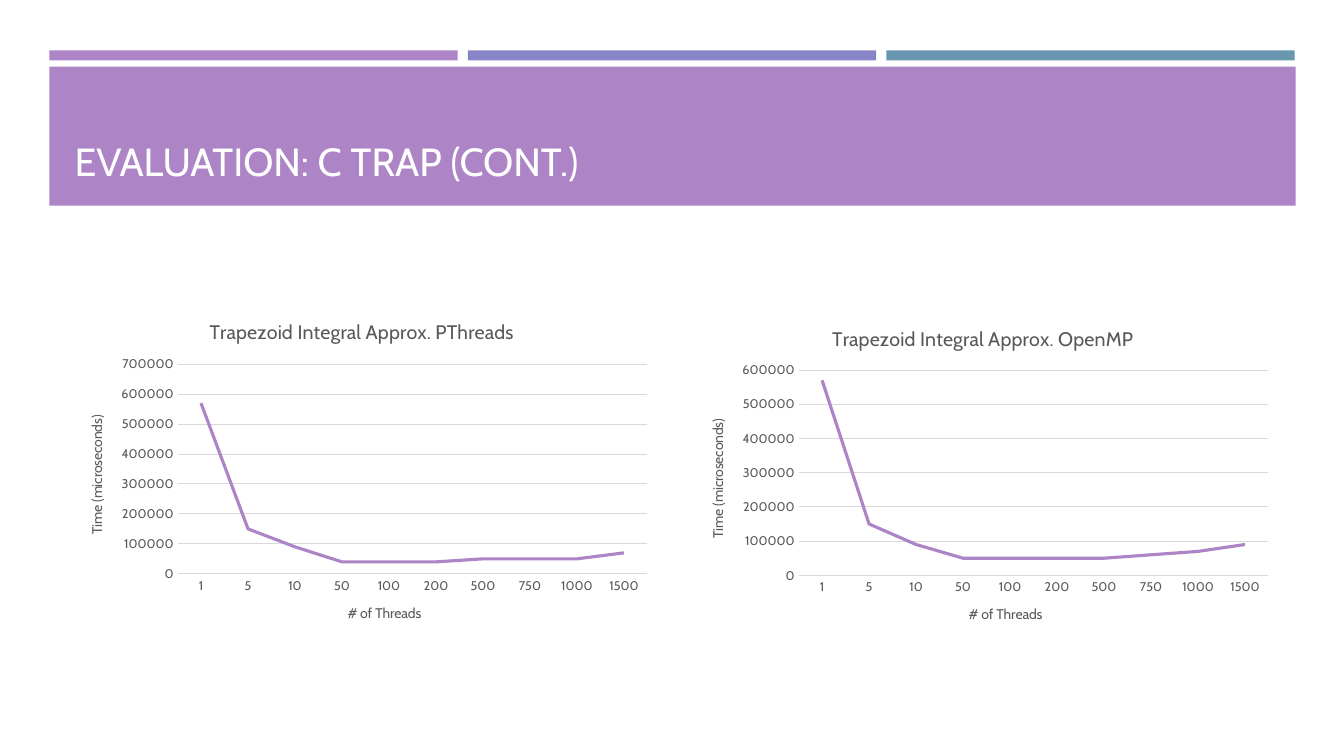
"""Build the trapezoid evaluation slide with its two thread timing charts."""
from lxml.etree import SubElement
from pptx import Presentation
from pptx.chart.data import CategoryChartData as ChartData
from pptx.dml.color import RGBColor
from pptx.enum.chart import XL_CHART_TYPE as ChartType, XL_TICK_MARK as Tick
from pptx.enum.shapes import MSO_SHAPE as Shape
from pptx.enum.text import MSO_ANCHOR as Anchor, PP_ALIGN as Align
from pptx.oxml import parse_xml
from pptx.oxml.ns import nsdecls, qn
from pptx.util import Inches, Pt

FONT = "Cabin"
PURPLE, BLUE, TEAL = "AD84C6", "8784C7", "6997AF"
GREY, RULE, WHITE = "595959", "D9D9D9", "FFFFFF"
THREADS = ["1", "5", "10", "50", "100", "200", "500", "750", "1000", "1500"]
PLOT = {"x": 0.19, "y": 0.18, "w": 0.79, "h": 0.61}


def color(hex_text):
    return RGBColor.from_string(hex_text)


def add_text(frame, text, size, hex_text):
    para = frame.paragraphs[0]
    span = para.add_run()
    span.text = text
    span.font.name = FONT
    span.font.size = Pt(size)
    span.font.bold = False
    span.font.color.rgb = color(hex_text)
    return para


deck = Presentation()
deck.slide_width, deck.slide_height = Inches(13.33), Inches(7.5)
page = deck.slides.add_slide(deck.slide_layouts[5])

bands = [(0.49 + 4.15 * i, 0.5, 4.05, 0.1, fill) for i, fill in enumerate((PURPLE, BLUE, TEAL))]
bands.append((0.49, 0.66, 12.36, 1.38, PURPLE))
for left, top, width, height, fill in bands:
    band = page.shapes.add_shape(
        Shape.RECTANGLE, Inches(left), Inches(top), Inches(width), Inches(height))
    band.shadow.inherit = False
    band.fill.solid()
    band.fill.fore_color.rgb = color(fill)
    band.line.fill.background()

title = page.shapes.title
title.left, title.top = Inches(0.64), Inches(0.8)
title.width, title.height = Inches(12.06), Inches(1.08)
title.text_frame.vertical_anchor = Anchor.BOTTOM
add_text(title.text_frame, "EVALUATION: C TRAP (CONT.)", 28, WHITE).alignment = Align.LEFT
page.shapes.element.append(title.element)

timings = [
    ("OpenMP", 6.8, 3.07, 3.34, 600000,
     [570000, 150000, 90000, 50000, 50000, 50000, 50000, 60000, 70000, 90000]),
    ("PThreads", 0.64, 3, 3.41, 700000,
     [570000, 150000, 90000, 40000, 40000, 40000, 50000, 50000, 50000, 70000]),
]
for library, left, top, height, maximum, times in timings:
    data = ChartData()
    data.categories = THREADS
    data.add_series("Series 1", times)
    chart = page.shapes.add_chart(
        ChartType.LINE, Inches(left), Inches(top), Inches(5.9), Inches(height), data).chart
    chart.font.name = FONT
    chart.font.size = Pt(10)
    chart.has_legend = False
    chart.has_title = True
    add_text(chart.chart_title.text_frame, f"Trapezoid Integral Approx. {library}", 14, GREY)
    chart.chart_title.include_in_layout = False

    threads_axis, time_axis = chart.category_axis, chart.value_axis
    for axis, label in ((threads_axis, "# of Threads"), (time_axis, "Time (microseconds)")):
        axis.has_title = True
        add_text(axis.axis_title.text_frame, label, 10, GREY)
        axis.major_tick_mark = axis.minor_tick_mark = Tick.NONE
        axis.tick_labels.font.name = FONT
        axis.tick_labels.font.size = Pt(9)
        axis.tick_labels.font.color.rgb = color(GREY)
    time_axis.minimum_scale, time_axis.maximum_scale = 0, maximum
    time_axis.major_unit = 100000
    time_axis.format.line.fill.background()
    for line in (threads_axis.format.line, time_axis.major_gridlines.format.line):
        line.color.rgb = color(RULE)
        line.width = Pt(0.75)

    chart.plots[0].vary_by_categories = False
    series = chart.plots[0].series[0]
    series.smooth = False
    series.format.line.color.rgb = color(PURPLE)
    series.format.line.width = Pt(2.25)

    plot_area = chart.element.find(".//" + qn("c:plotArea"))
    for layout in plot_area.findall(qn("c:layout")):
        plot_area.remove(layout)
    layout = parse_xml(f"<c:layout {nsdecls('c')}><c:manualLayout/></c:layout>")
    settings = {"layoutTarget": "inner", "xMode": "edge", "yMode": "edge", **PLOT}
    for name, value in settings.items():
        SubElement(layout[0], qn(f"c:{name}")).set("val", str(value))
    plot_area.insert(0, layout)

deck.save("out.pptx")
